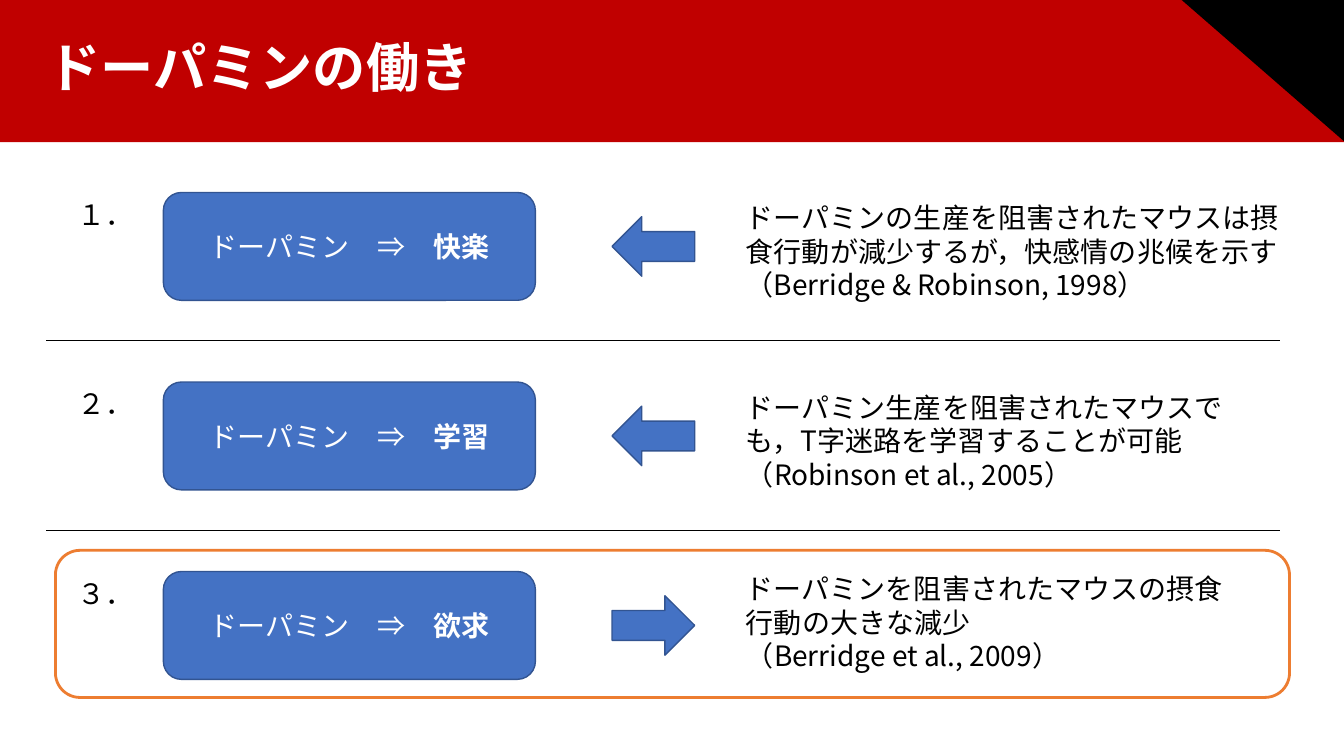
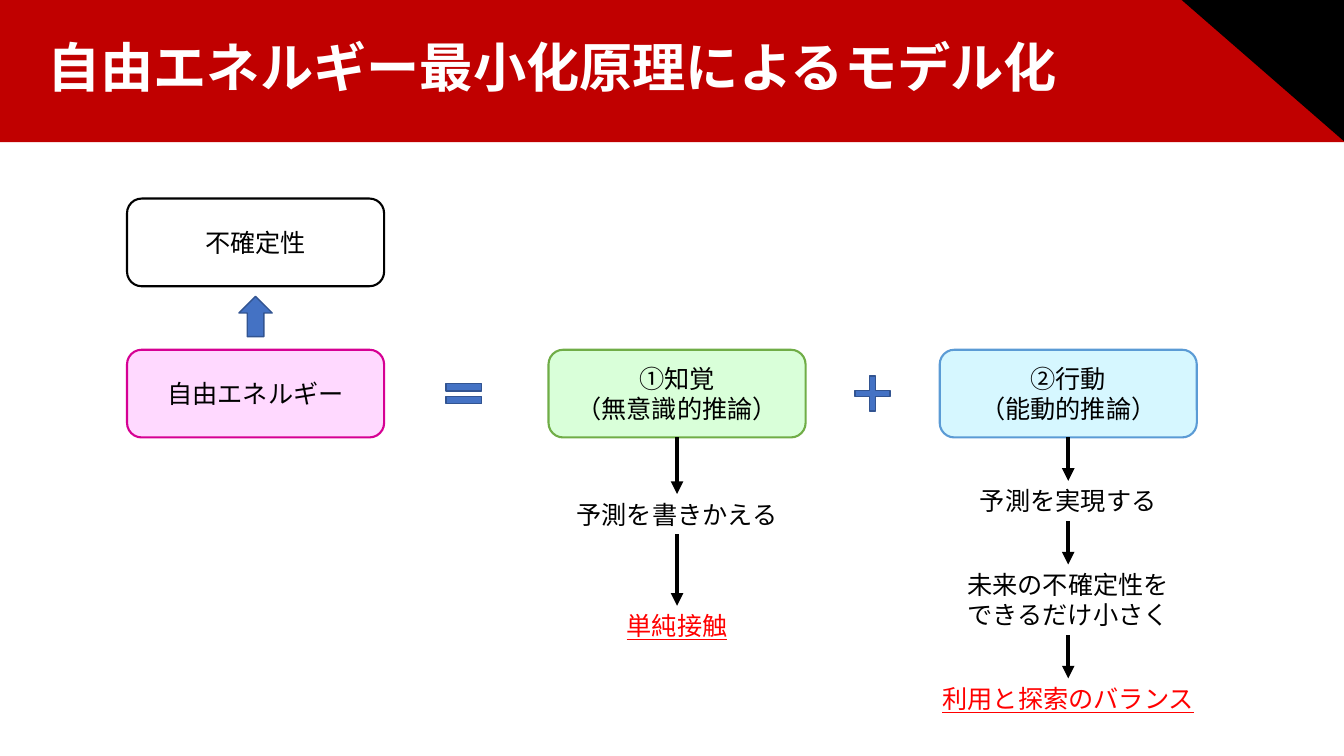
"""Build two slides on dopamine and the free-energy principle."""
from lxml import etree
from pptx import Presentation
from pptx.dml.color import RGBColor
from pptx.enum.shapes import MSO_CONNECTOR, MSO_SHAPE
from pptx.enum.text import MSO_ANCHOR, PP_ALIGN
from pptx.oxml.ns import qn
from pptx.util import Inches, Pt

RECT, ROUND, TRIANGLE = MSO_SHAPE.RECTANGLE, MSO_SHAPE.ROUNDED_RECTANGLE, MSO_SHAPE.RIGHT_TRIANGLE
LEFT_ARROW, RIGHT_ARROW, UP_ARROW = MSO_SHAPE.LEFT_ARROW, MSO_SHAPE.RIGHT_ARROW, MSO_SHAPE.UP_ARROW
EQUAL, PLUS = MSO_SHAPE.MATH_EQUAL, MSO_SHAPE.MATH_PLUS
STRAIGHT = MSO_CONNECTOR.STRAIGHT
LEFT, CENTER = PP_ALIGN.LEFT, PP_ALIGN.CENTER
TOP, MIDDLE = MSO_ANCHOR.TOP, MSO_ANCHOR.MIDDLE

THEME = {
    "font": "Noto Sans CJK JP",
    "band": "C00000", "black": "000000", "white": "FFFFFF", "red": "FF0000",
    "blue": "4472C4", "navy": "325491", "orange": "ED7D31",
    "pink": "FFD9FF", "magenta": "D60093", "mint": "D9FFD9", "green": "70AD47",
    "ice": "D6F7FF", "sky": "5B9BD5",
    "title": 38, "body": 20, "label": 18,
}

DOPAMINE_TITLE = "ドーパミンの働き"
DOPAMINE_ROWS = [
    ("１．", "快楽", LEFT_ARROW, 1.94, 5.57,
     "ドーパミンの生産を阻害されたマウスは摂食行動が減少するが，快感情の兆候を示す",
     "（Berridge & Robinson, 1998）"),
    ("２．", "学習", LEFT_ARROW, 3.82, 5.18,
     "ドーパミン生産を阻害されたマウスでも，T字迷路を学習することが可能",
     "（Robinson et al., 2005）"),
    ("３．", "欲求", RIGHT_ARROW, 5.62, 5.18,
     "ドーパミンを阻害されたマウスの摂食行動の大きな減少",
     "（Berridge et al., 2009）"),
]
ROW_TOP, ROW_PITCH = 1.91, 1.88

MODEL_TITLE = "自由エネルギー最小化原理によるモデル化"
MODEL_BOXES = [
    (1.26, 1.97, ["不確定性"], None, "black", []),
    (1.26, 3.47, ["自由エネルギー"], "pink", "magenta", []),
    (5.44, 3.47, ["①知覚", "（無意識的推論）"], "mint", "green", [
        (4.9, ["予測を書きかえる"], False),
        (6.01, ["単純接触"], True),
    ]),
    (9.32, 3.47, ["②行動", "（能動的推論）"], "ice", "sky", [
        (4.77, ["予測を実現する"], False),
        (5.6, ["未来の不確定性を", "できるだけ小さく"], False),
        (6.73, ["利用と探索のバランス"], True),
    ]),
]
BOX_W, BOX_H, LABEL_W, LINE_H = 2.55, 0.87, 2.8, 0.3
OPERATORS = [
    (UP_ARROW, (2.37, 2.94, 0.33, 0.4), []),
    (EQUAL, (4.36, 3.68, 0.48, 0.45), [0.165, 0.118]),
    (PLUS, (8.42, 3.67, 0.47, 0.47), [0.126]),
]


def rgb(name):
    return RGBColor.from_string(THEME[name])


def write(sp, paragraphs, size, color="black", align=LEFT, anchor=TOP, wrap=True, spacing=None):
    tf = sp.text_frame
    tf.word_wrap, tf.vertical_anchor = wrap, anchor
    for i, runs in enumerate(paragraphs):
        p = tf.paragraphs[0] if i == 0 else tf.add_paragraph()
        p.alignment, p.line_spacing = align, spacing
        for text, extra in runs:
            r = p.add_run()
            r.text = text
            fmt = {"name": THEME["font"], "size": Pt(THEME[size]), **extra}
            for key, value in fmt.items():
                setattr(r.font, key, value)
            r.font.color.rgb = rgb(color)
            etree.SubElement(r.font._element, qn("a:ea"), typeface=THEME["font"])


def plain(lines, **extra):
    return [[(line, extra)] for line in lines]


def add_shape(s, kind, box, fill=None, line=None, width=1):
    sp = s.shapes.add_shape(kind, *map(Inches, box))
    sp.shadow.inherit = False
    if fill:
        sp.fill.solid()
        sp.fill.fore_color.rgb = rgb(fill)
    else:
        sp.fill.background()
    if line:
        sp.line.color.rgb = rgb(line)
        sp.line.width = Pt(width)
    else:
        sp.line.fill.background()
    return sp


def add_text(s, box, paragraphs, size, **options):
    sp = s.shapes.add_textbox(*map(Inches, box))
    write(sp, paragraphs, size, **options)
    return sp


def add_line(s, start, end, width):
    cn = s.shapes.add_connector(STRAIGHT, *map(Inches, (*start, *end)))
    cn.line.color.rgb = rgb("black")
    cn.line.width = Pt(width)
    etree.SubElement(cn._element.spPr, qn("a:effectLst"))
    return cn


def add_down_arrow(s, upper, lower):
    cn = add_line(s, (0, 0), (0, 0), 3)
    cn.begin_connect(upper, 2)
    cn.end_connect(lower, 0)
    etree.SubElement(cn._element.spPr.find(qn("a:ln")), qn("a:tailEnd"), type="triangle")


def add_slide(prs, title):
    s = prs.slides.add_slide(prs.slide_layouts[6])
    add_shape(s, RECT, (0, 0, 13.33, 1.41), "band")
    add_shape(s, TRIANGLE, (11.72, 0, 1.62, 1.41), "black").rotation = 180
    add_text(s, (0.37, 0.36, 11.96, 0.72), plain([title], bold=True), "title",
             color="white", spacing=0.9)
    return s


def build_dopamine(prs):
    s = add_slide(prs, DOPAMINE_TITLE)
    for i, (number, effect, arrow, text_top, text_w, finding, source) in enumerate(DOPAMINE_ROWS):
        top = ROW_TOP + i * ROW_PITCH
        add_text(s, (0.67, top, 0.76, 0.44), plain([number]), "body", wrap=False)
        box = add_shape(s, ROUND, (1.62, top, 3.69, 1.07), "blue", "navy")
        write(box, [[("ドーパミン　⇒　", {}), (effect, {"bold": True})]], "body",
              color="white", align=CENTER, anchor=MIDDLE)
        add_shape(s, arrow, (6.07, top + 0.24, 0.82, 0.59), "blue", "navy")
        add_text(s, (7.3, text_top, text_w, 1.11), plain([finding, source]), "body")
        if i:
            y = top - 0.41
            add_line(s, (0.46, y), (12.7, y), 0.5)
    add_shape(s, ROUND, (0.55, 5.46, 12.24, 1.46), line="orange", width=2)


def build_model(prs):
    s = add_slide(prs, MODEL_TITLE)
    for left, top, lines, fill, line, steps in MODEL_BOXES:
        upper = add_shape(s, ROUND, (left, top, BOX_W, BOX_H), fill, line, 1.5)
        write(upper, plain(lines), "label", align=CENTER, anchor=MIDDLE)
        label_left = left + (BOX_W - LABEL_W) / 2
        for step_top, step_lines, goal in steps:
            height = 0.1 + LINE_H * len(step_lines)
            text = plain(step_lines, underline=True) if goal else plain(step_lines)
            lower = add_text(s, (label_left, step_top, LABEL_W, height), text, "label",
                             color="red" if goal else "black", align=CENTER)
            add_down_arrow(s, upper, lower)
            upper = lower
    for kind, box, adjustments in OPERATORS:
        sp = add_shape(s, kind, box, "blue", "navy")
        for i, value in enumerate(adjustments):
            sp.adjustments[i] = value


def main():
    prs = Presentation()
    prs.slide_width, prs.slide_height = Inches(13.33), Inches(7.5)
    build_dopamine(prs)
    build_model(prs)
    prs.save("out.pptx")


if __name__ == "__main__":
    main()
